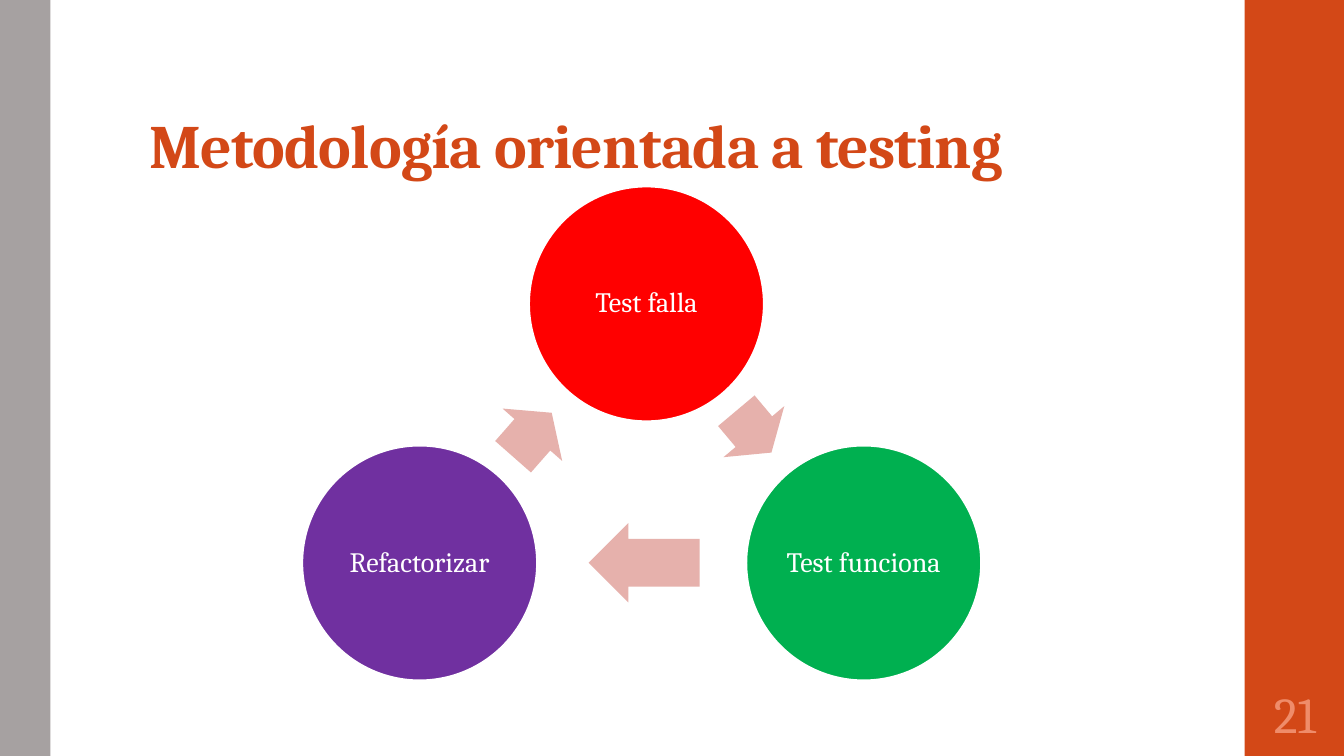
import dataclasses

import pptx
import pptx.dml.color
import pptx.enum.shapes
import pptx.enum.text
import pptx.util

Pt = pptx.util.Pt
Shape = pptx.enum.shapes.MSO_SHAPE
Anchor = pptx.enum.text.MSO_ANCHOR
Align = pptx.enum.text.PP_ALIGN


@dataclasses.dataclass(frozen=True)
class Theme:
    font: str = "Cambria"
    rust: str = "D34817"
    gray: str = "A6A1A1"
    peach: str = "EF8C6A"
    pink: str = "E6B1AC"
    white: str = "FFFFFF"
    red: str = "FF0000"
    green: str = "00B050"
    purple: str = "7030A0"
    head: int = 44
    page: int = 36
    body: int = 20


class Deck:
    """Draws styled elements on the current slide, with lengths in points."""

    def __init__(self, theme, width, height):
        self.theme = theme
        self.file = pptx.Presentation()
        self.file.slide_width, self.file.slide_height = Pt(width), Pt(height)
        self.slide = self.file.slides.add_slide(self.file.slide_layouts[6])

    def color(self, code):
        return pptx.dml.color.RGBColor.from_string(code)

    def shape(self, kind, box, fill):
        item = self.slide.shapes.add_shape(kind, *map(Pt, box))
        item.shadow.inherit = False
        item.fill.solid()
        item.fill.fore_color.rgb = self.color(fill)
        item.line.fill.background()
        return item

    def label(self, item, text, size, color, pads, align=Align.CENTER, anchor=Anchor.MIDDLE):
        frame = item.text_frame
        frame.word_wrap = True
        frame.vertical_anchor = anchor
        frame.margin_left, frame.margin_top, frame.margin_right, frame.margin_bottom = map(Pt, pads)
        par = frame.paragraphs[0]
        par.text = text
        par.alignment = align
        par.font.name = self.theme.font
        par.font.size = Pt(size)
        par.font.color.rgb = self.color(color)
        return par

    def title(self, text, box):
        item = self.slide.shapes.add_textbox(*map(Pt, box))
        par = self.label(item, text, self.theme.head, self.theme.rust,
                         (7.2, 2.2, 7.2, 3.6), Align.LEFT, Anchor.BOTTOM)
        par.line_spacing = 0.9
        par.font.bold = True
        par.runs[0].font._element.set("spc", "-50")

    def number(self, text, box):
        item = self.slide.shapes.add_textbox(*map(Pt, box))
        self.label(item, text, self.theme.page, self.theme.peach, (3.6,) * 4)

    def circle(self, text, left, top, size, fill):
        item = self.shape(Shape.OVAL, (left, top, size, size), fill)
        item.line.color.rgb = self.color(self.theme.white)
        item.line.width = Pt(1.1)
        par = self.label(item, text, self.theme.body, self.theme.white, (2,) * 4)
        par.line_spacing = 0.9

    def arrow(self, left, top, width, height, turn):
        item = self.shape(Shape.RIGHT_ARROW, (left, top, width, height), self.theme.pink)
        item.adjustments[0], item.adjustments[1] = 0.6, 0.5
        item.rotation = turn


def main():
    theme = Theme()
    deck = Deck(theme, 960, 540)
    deck.shape(Shape.RECTANGLE, (889, 0, 71, 540), theme.rust)
    deck.shape(Shape.RECTANGLE, (0, 0, 36, 540), theme.gray)
    deck.title("Metodología orientada a testing", (99.4, 23, 763, 110.2))
    deck.number("21", (889, 486, 72, 46.8))
    steps = [
        ("Test falla", 378, 133.3, theme.red),
        ("Test funciona", 533.2, 318.4, theme.green),
        ("Refactorizar", 216, 318.4, theme.purple),
    ]
    for text, left, top, fill in steps:
        deck.circle(text, left, top, 167.5, fill)
    for left, top, width, turn in [
        (519, 280, 39, 50),
        (420.5, 373.6, 79.2, 180),
        (359.4, 282.2, 41.8, 311.3),
    ]:
        deck.arrow(left, top, width, 56.7, turn)
    deck.file.save("out.pptx")


if __name__ == "__main__":
    main()
